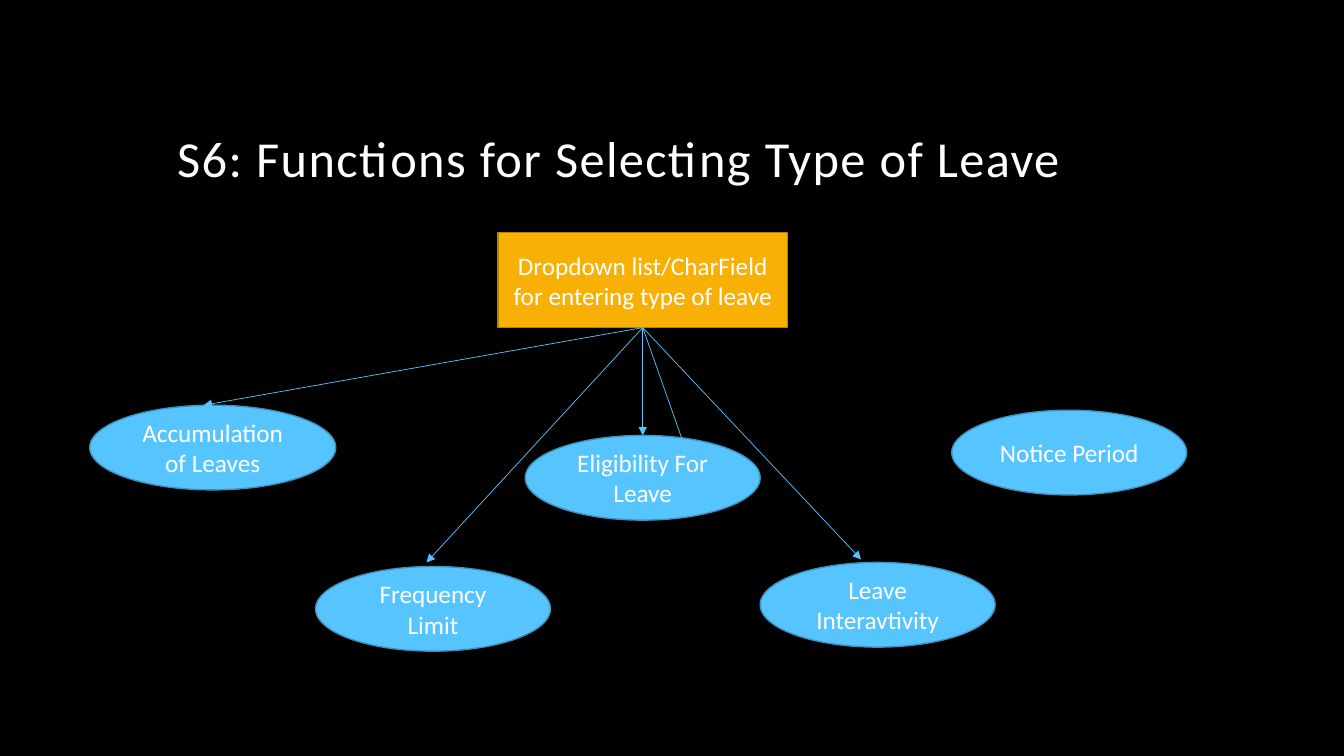
from lxml.etree import SubElement
from pptx import Presentation
from pptx.dml.color import RGBColor
from pptx.enum.shapes import MSO_CONNECTOR as Connector, MSO_SHAPE as Shape
from pptx.enum.text import MSO_ANCHOR as Anchor, PP_ALIGN as Align
from pptx.oxml.ns import qn
from pptx.util import Inches, Pt

COLORS = {
    "background": "000000",
    "text": "FFFFFF",
    "field": "F8B004",
    "field_edge": "B78203",
    "function": "56C5FF",
    "function_edge": "4092BD",
}
FONT = "Calibri"
COLUMNS, ROWS = 13.33, 7.5
CELL = Inches(1)
OVAL_WIDTH, OVAL_HEIGHT = 2.33, 0.84
TOP, BOTTOM = 0, 2

FUNCTIONS = [
    ("Accumulation of\u00a0Leaves".replace("\u00a0", " "), 0.89, 4.02, 2.44),
    ("Eligibility For Leave", 5.21, 4.32, OVAL_WIDTH),
    ("Notice Period", 9.44, 4.07, OVAL_WIDTH),
    ("Frequency Limit", 3.13, 5.62, OVAL_WIDTH),
    ("Leave Interavtivity", 7.54, 5.58, OVAL_WIDTH),
]
ARROW_TIPS = [(2.02, 4.02), (4.23, 5.58), (8.54, 5.55), (6.97, 4.94)]


def grid(*cells):
    return [round(cell * CELL) for cell in cells]


def color(name):
    return RGBColor.from_string(COLORS[name])


def write(shape, text, size, align, anchor):
    frame = shape.text_frame
    frame.word_wrap = True
    frame.vertical_anchor = anchor
    para = frame.paragraphs[0]
    para.alignment = align
    para.font.name = FONT
    para.font.size = Pt(size)
    para.font.color.rgb = color("text")
    span = para.add_run()
    span.text = text
    return para, span


def add_title(page, text):
    box = page.shapes.add_textbox(*grid(1.66, 0.42, 10, 1.5))
    para, span = write(box, text, 36, Align.LEFT, Anchor.BOTTOM)
    para.line_spacing = 0.9
    span.font._element.set("spc", "100")


def add_node(page, preset, place, text, fill):
    node = page.shapes.add_shape(preset, *grid(*place))
    node.shadow.inherit = False
    node.fill.solid()
    node.fill.fore_color.rgb = color(fill)
    node.line.color.rgb = color(fill + "_edge")
    node.line.width = Pt(1)
    write(node, text, 18, Align.CENTER, Anchor.MIDDLE)
    return node


def add_arrow(page, source, tip):
    arrow = page.shapes.add_connector(Connector.STRAIGHT, 0, 0, *grid(*tip))
    arrow.begin_connect(source, BOTTOM)
    arrow.line.color.rgb = color("function")
    arrow.line.width = Pt(0.5)
    SubElement(arrow.line._get_or_add_ln(), qn("a:tailEnd"), type="triangle")
    SubElement(arrow._element.spPr, qn("a:effectLst"))
    return arrow


def main():
    deck = Presentation()
    deck.slide_width, deck.slide_height = grid(COLUMNS, ROWS)
    page = deck.slides.add_slide(deck.slide_layouts[6])
    page.background.fill.solid()
    page.background.fill.fore_color.rgb = color("background")

    add_title(page, "S6: Functions for Selecting Type of Leave")
    field = add_node(page, Shape.RECTANGLE, (4.94, 2.31, 2.87, 0.94),
                     "Dropdown list/CharField for entering type of leave", "field")
    ovals = {
        text: add_node(page, Shape.OVAL, (left, top, width, OVAL_HEIGHT), text, "function")
        for text, left, top, width in FUNCTIONS
    }
    eligibility = add_arrow(page, field, (6.37, 4.32))
    eligibility.end_connect(ovals["Eligibility For Leave"], TOP)
    for tip in ARROW_TIPS:
        add_arrow(page, field, tip)

    deck.save("out.pptx")


if __name__ == "__main__":
    main()
